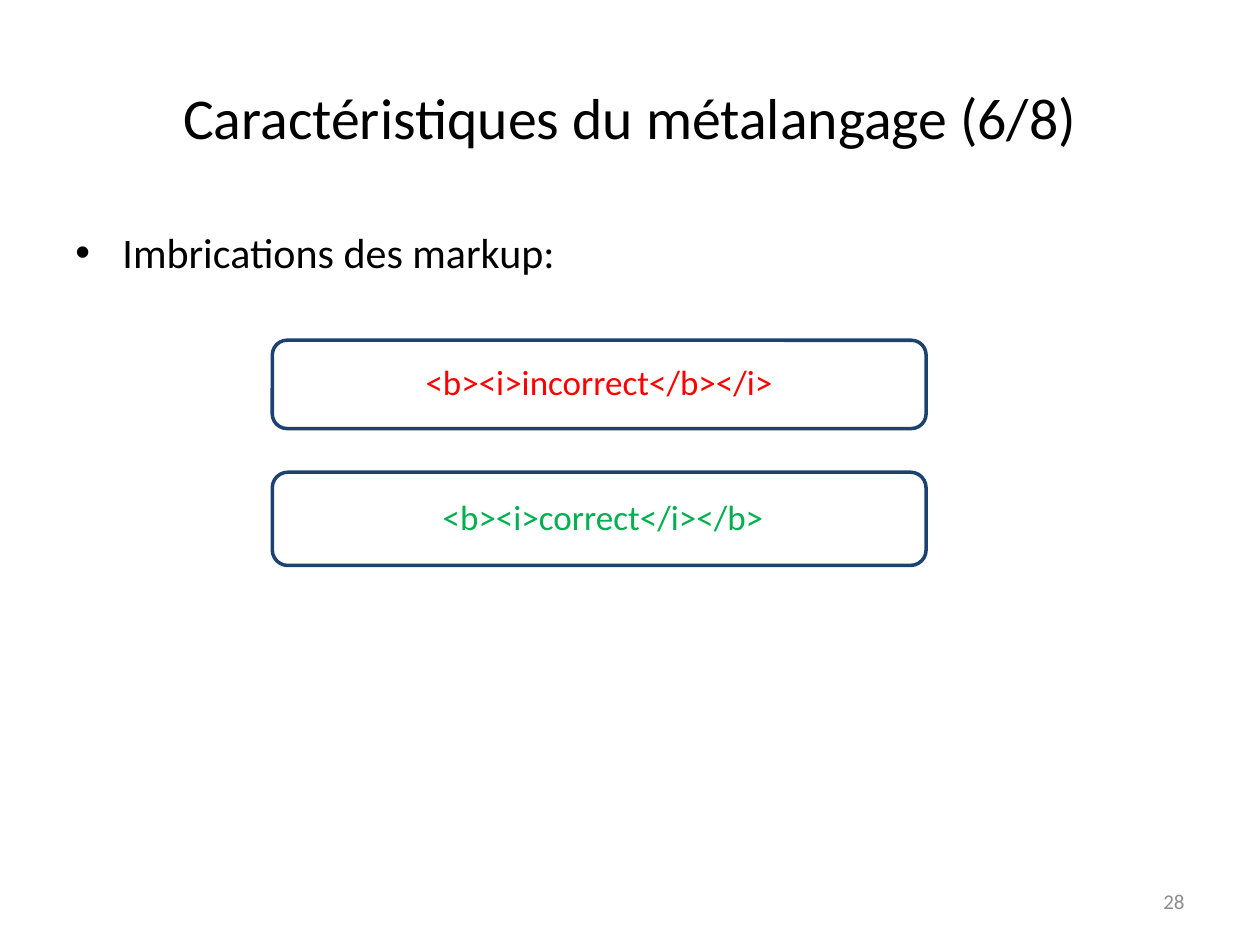
"""Build the slide on nesting rules for markup."""
from lxml import etree
from pptx import Presentation
from pptx.dml.color import RGBColor
from pptx.enum import shapes, text
from pptx.oxml import ns
from pptx.util import Cm, Pt

BLACK = RGBColor(0x00, 0x00, 0x00)
WHITE = RGBColor(0xFF, 0xFF, 0xFF)
GREY = RGBColor(0x8C, 0x8C, 0x8C)
NAVY = RGBColor(0x1C, 0x42, 0x71)
RED = RGBColor(0xFF, 0x00, 0x00)
GREEN = RGBColor(0x00, 0xB0, 0x50)

TITLE = "Caractéristiques du métalangage (6/8)"
BULLET = "Imbrications des markup:"
EXAMPLES = [
    ("<b><i>incorrect</b></i>", RED, 6.86, 1.78),
    (" <b><i>correct</i></b>", GREEN, 9.52, 1.88),
]
PAGE = "28"

MARGIN, CONTENT_W = 1.27, 22.86
BOX_LEFT, BOX_W = 5.49, 13.18
INDENT = 0.95


def write(s, content, size, color=BLACK, align=text.PP_ALIGN.LEFT,
          anchor=text.MSO_ANCHOR.MIDDLE, inset=None, spacing=None, bullet=False):
    tf = s.text_frame
    tf.word_wrap = True
    tf.vertical_anchor = anchor
    if inset is not None:
        tf.margin_left = tf.margin_right = tf.margin_top = tf.margin_bottom = Cm(inset)
    p = tf.paragraphs[0]
    p.alignment = align
    if spacing:
        p.line_spacing = spacing
    if bullet:
        pPr = p._p.get_or_add_pPr()
        pPr.set("marL", str(Cm(INDENT)))
        pPr.set("indent", str(-Cm(INDENT)))
        etree.SubElement(pPr, ns.qn("a:buFont"), typeface="Arial")
        etree.SubElement(pPr, ns.qn("a:buChar"), char="•")
    r = p.add_run()
    r.text = content
    r.font.name = "Calibri"
    r.font.size = Pt(size)
    r.font.color.rgb = color


def main():
    prs = Presentation()
    prs.slide_width, prs.slide_height = Cm(25.4), Cm(19.05)
    sp = prs.slides.add_slide(prs.slide_layouts[6]).shapes

    s = sp.add_textbox(Cm(MARGIN), Cm(0.76), Cm(CONTENT_W), Cm(3.18))
    write(s, TITLE, 33, align=text.PP_ALIGN.CENTER)

    s = sp.add_textbox(Cm(MARGIN), Cm(4.45), Cm(CONTENT_W), Cm(12.57))
    write(s, BULLET, 24, anchor=text.MSO_ANCHOR.TOP, bullet=True)

    for content, color, top, height in EXAMPLES:
        s = sp.add_shape(shapes.MSO_SHAPE.ROUNDED_RECTANGLE,
                         Cm(BOX_LEFT), Cm(top), Cm(BOX_W), Cm(height))
        s.shadow.inherit = False
        s.fill.solid()
        s.fill.fore_color.rgb = WHITE
        s.line.color.rgb = NAVY
        s.line.width = Pt(2)
        write(s, content, 20, color, text.PP_ALIGN.CENTER, inset=0.2, spacing=0.9)

    s = sp.add_textbox(Cm(18.2), Cm(17.65), Cm(5.93), Cm(1.02))
    write(s, PAGE, 12, GREY, text.PP_ALIGN.RIGHT)

    prs.save("out.pptx")


if __name__ == "__main__":
    main()
